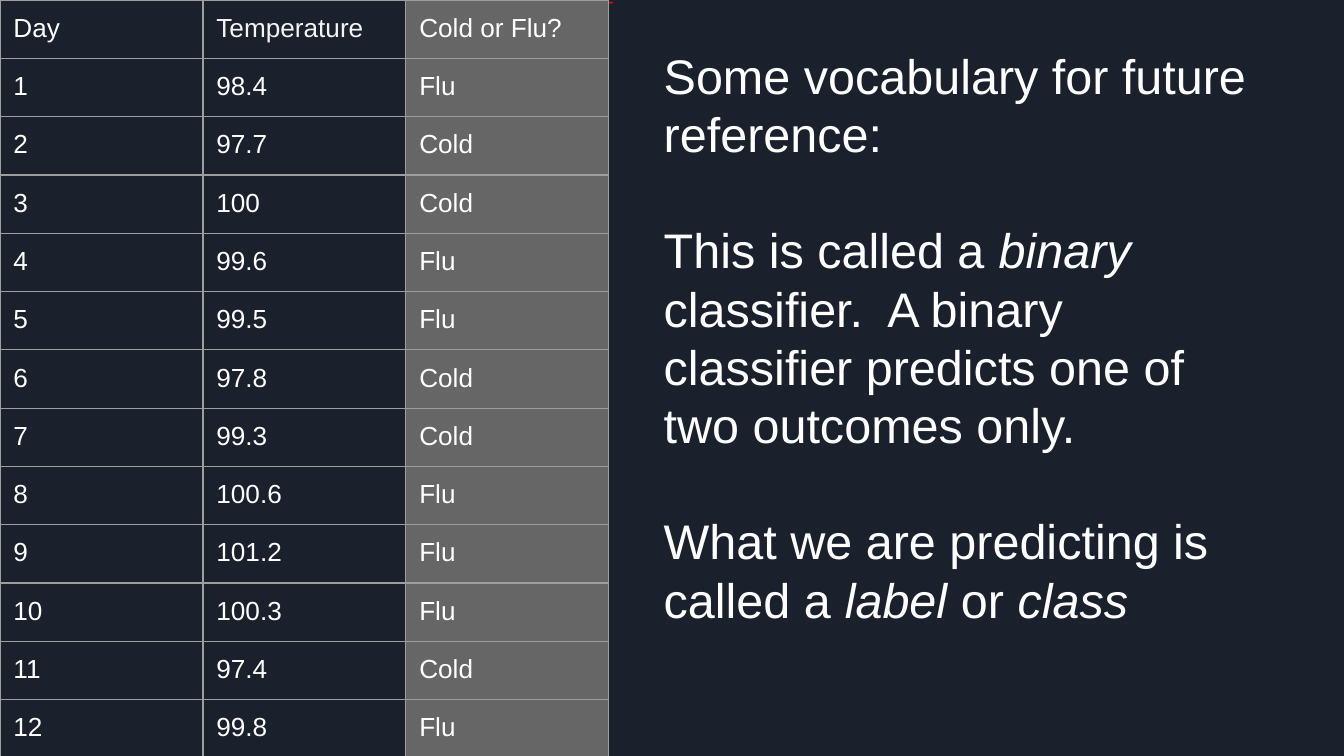
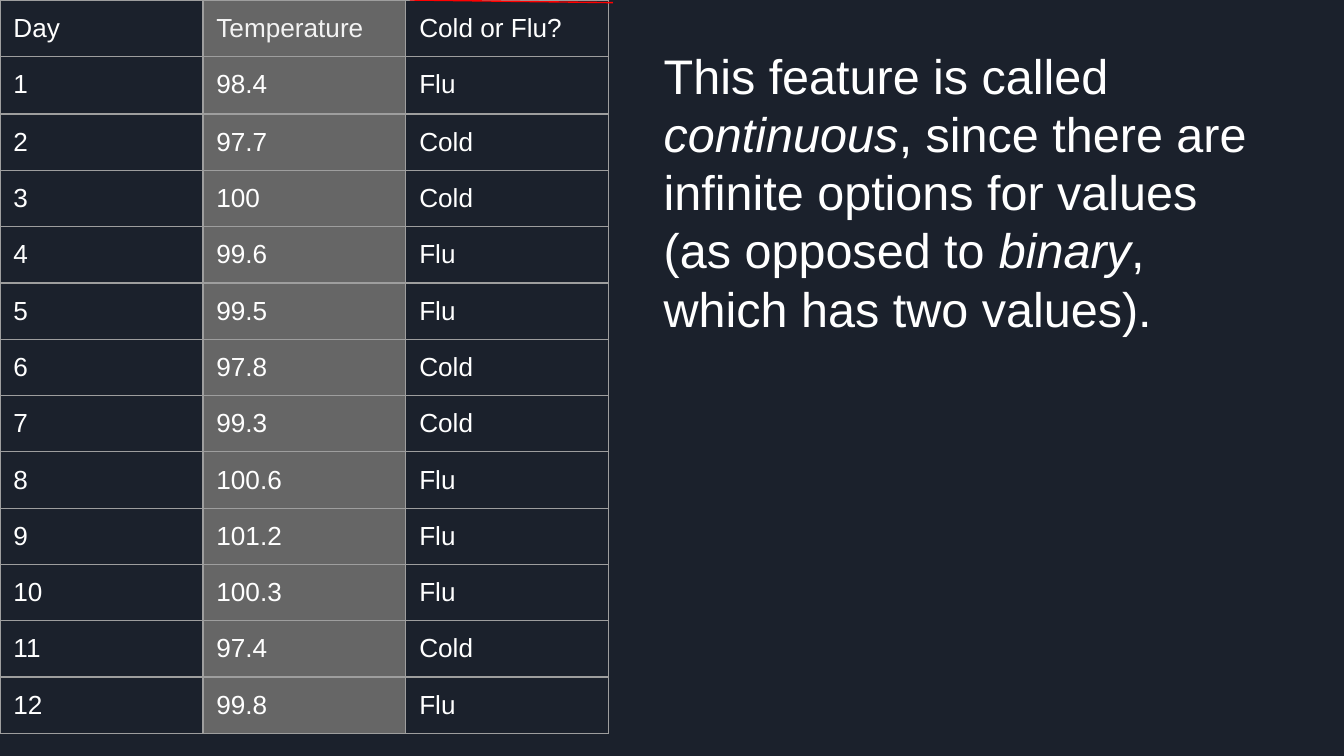
from lxml.etree import SubElement
from pptx import Presentation
from pptx.dml.color import RGBColor
from pptx.enum.shapes import MSO_CONNECTOR
from pptx.oxml.ns import qn
from pptx.util import Inches, Pt

COLORS = {
    "background": "1B212C",
    "text": "FFFFFF",
    "soft_text": "F3F3F3",
    "highlight": "666666",
    "grid": "9E9E9E",
    "accent": "FF0000",
}
FONT = "Arial"
MARGIN = Inches(0.1)
LINE_WIDTH = Pt(0.75)
HEADERS = ("Day", "Temperature", "Cold or Flu?")
READINGS = (
    ("98.4", "Flu"), ("97.7", "Cold"), ("100", "Cold"), ("99.6", "Flu"),
    ("99.5", "Flu"), ("97.8", "Cold"), ("99.3", "Cold"), ("100.6", "Flu"),
    ("101.2", "Flu"), ("100.3", "Flu"), ("97.4", "Cold"), ("99.8", "Flu"),
)
TEMPERATURE, DIAGNOSIS = 1, 2
TABLE_SIZE = Inches(3.28)
COLUMN_WIDTH, ROW_HEIGHT, FIRST_DAY_HEIGHT = 1.51, 0.39, 0.43
VERTICAL_LINE = (3.02, 0, 3.02, 5.63)
TOP_LINE = (3.05, 0, 4.56, 0.02)


def color(name):
    return RGBColor.from_string(COLORS[name])


def add_text(para, text, size=14, fill="text", italic=False):
    span = para.add_run()
    span.text = text
    span.font.name = FONT
    span.font.size = Pt(size)
    span.font.italic = italic
    span.font.color.rgb = color(fill)


def set_margins(target):
    target.margin_left = target.margin_right = MARGIN
    target.margin_top = target.margin_bottom = MARGIN


def add_page(deck):
    page = deck.slides.add_slide(deck.slide_layouts[6])
    page.background.fill.solid()
    page.background.fill.fore_color.rgb = color("background")
    return page


def add_line(page, ends):
    line = page.shapes.add_connector(MSO_CONNECTOR.STRAIGHT, *map(Inches, ends))
    line.line.color.rgb = color("accent")
    line.line.width = LINE_WIDTH
    SubElement(line._element.spPr, qn("a:effectLst"))


def add_explanation(page, paragraphs):
    box = page.shapes.add_textbox(
        Inches(4.84), Inches(0.24), Inches(4.67), Inches(4.99))
    frame = box.text_frame
    frame.word_wrap = True
    set_margins(frame)
    for index, pieces in enumerate(paragraphs):
        para = frame.add_paragraph() if index else frame.paragraphs[0]
        if index:
            para.space_before = Pt(31.2)
        for position, text in enumerate(pieces):
            add_text(para, text, size=26, italic=position % 2 == 1)


def set_borders(cell):
    properties = cell._tc.get_or_add_tcPr()
    for side in ("lnL", "lnR", "lnT", "lnB"):
        border = SubElement(properties, qn(f"a:{side}"), w=str(LINE_WIDTH))
        fill = SubElement(border, qn("a:solidFill"))
        SubElement(fill, qn("a:srgbClr"), val=COLORS["grid"])


def format_cell(cell, text, highlighted=False, fill="text"):
    set_margins(cell)
    set_borders(cell)
    if highlighted:
        cell.fill.solid()
        cell.fill.fore_color.rgb = color("highlight")
    else:
        cell.fill.background()
    add_text(cell.text_frame.paragraphs[0], text, fill=fill)


def add_readings_table(page, highlighted_column):
    rows = [HEADERS]
    rows += [(str(day), *reading) for day, reading in enumerate(READINGS, 1)]
    heights = [ROW_HEIGHT] * len(rows)
    heights[1] = FIRST_DAY_HEIGHT
    holder = page.shapes.add_table(
        len(rows), len(HEADERS), 0, 0, TABLE_SIZE, TABLE_SIZE)
    table = holder.table
    table.first_row = table.horz_banding = False
    for column in table.columns:
        column.width = Inches(COLUMN_WIDTH)
    for row, height in zip(table.rows, heights):
        row.height = Inches(height)
    holder.width = holder.height = TABLE_SIZE
    for row_index, values in enumerate(rows):
        for column_index, text in enumerate(values):
            format_cell(
                table.cell(row_index, column_index), text,
                highlighted=column_index == highlighted_column,
                fill="soft_text" if text == "Temperature" else "text")


def build_label_page(deck):
    page = add_page(deck)
    add_explanation(page, (
        ("Some vocabulary for future reference:",),
        ("This is called a ", "binary",
         " classifier.  A binary classifier predicts one of two outcomes only."),
        ("What we are predicting is called a ", "label", " or ", "class"),
    ))
    add_line(page, VERTICAL_LINE)
    add_line(page, TOP_LINE)
    add_readings_table(page, DIAGNOSIS)


def build_feature_page(deck):
    page = add_page(deck)
    add_readings_table(page, TEMPERATURE)
    add_explanation(page, (
        ("This feature is called ", "continuous",
         ", since there are infinite options for values (as opposed to ",
         "binary", ", which has two values)."),
    ))
    add_line(page, TOP_LINE)


def main():
    deck = Presentation()
    deck.slide_width = Inches(10)
    deck.slide_height = deck.slide_width * 9 // 16
    build_label_page(deck)
    build_feature_page(deck)
    deck.save("out.pptx")


if __name__ == "__main__":
    main()
